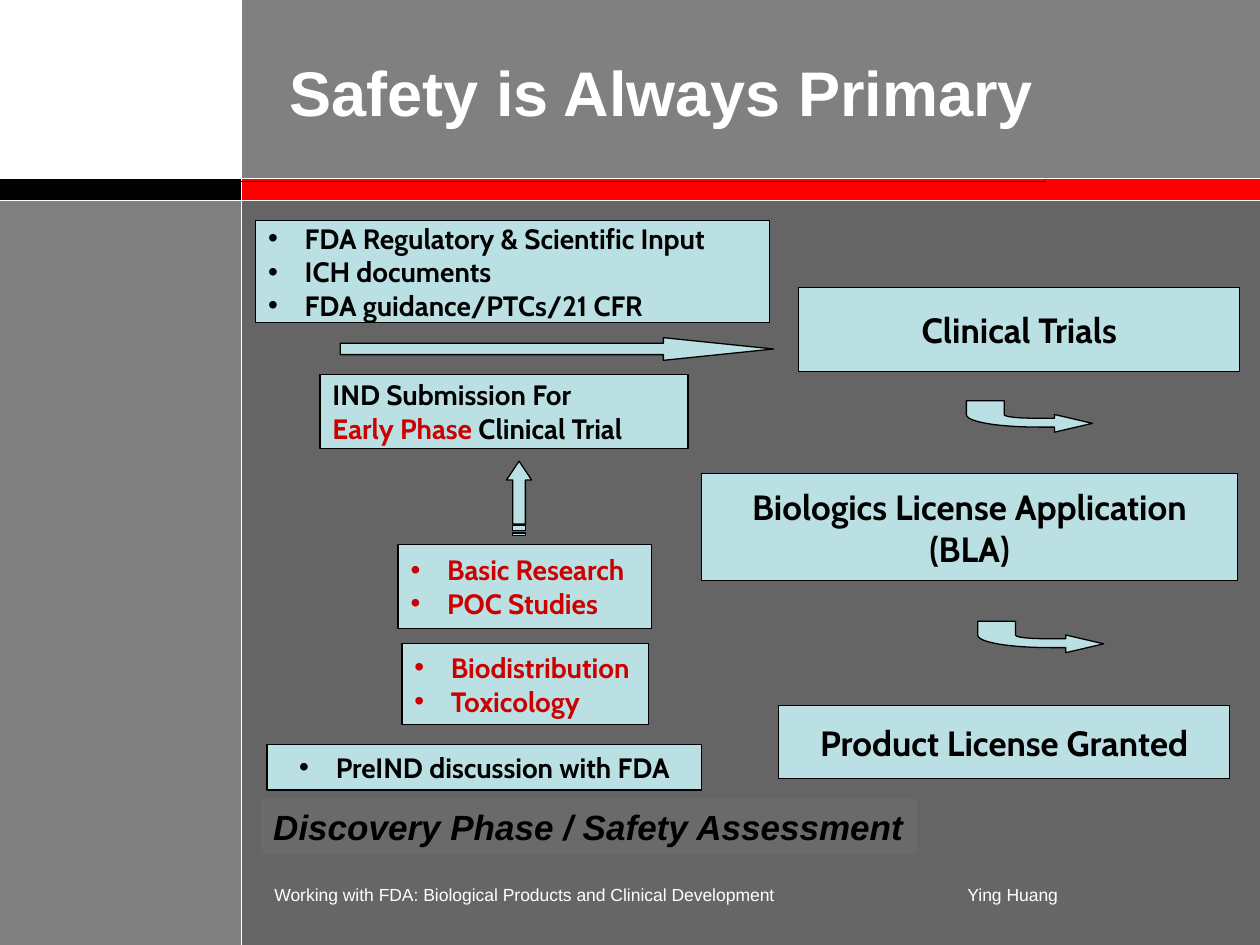
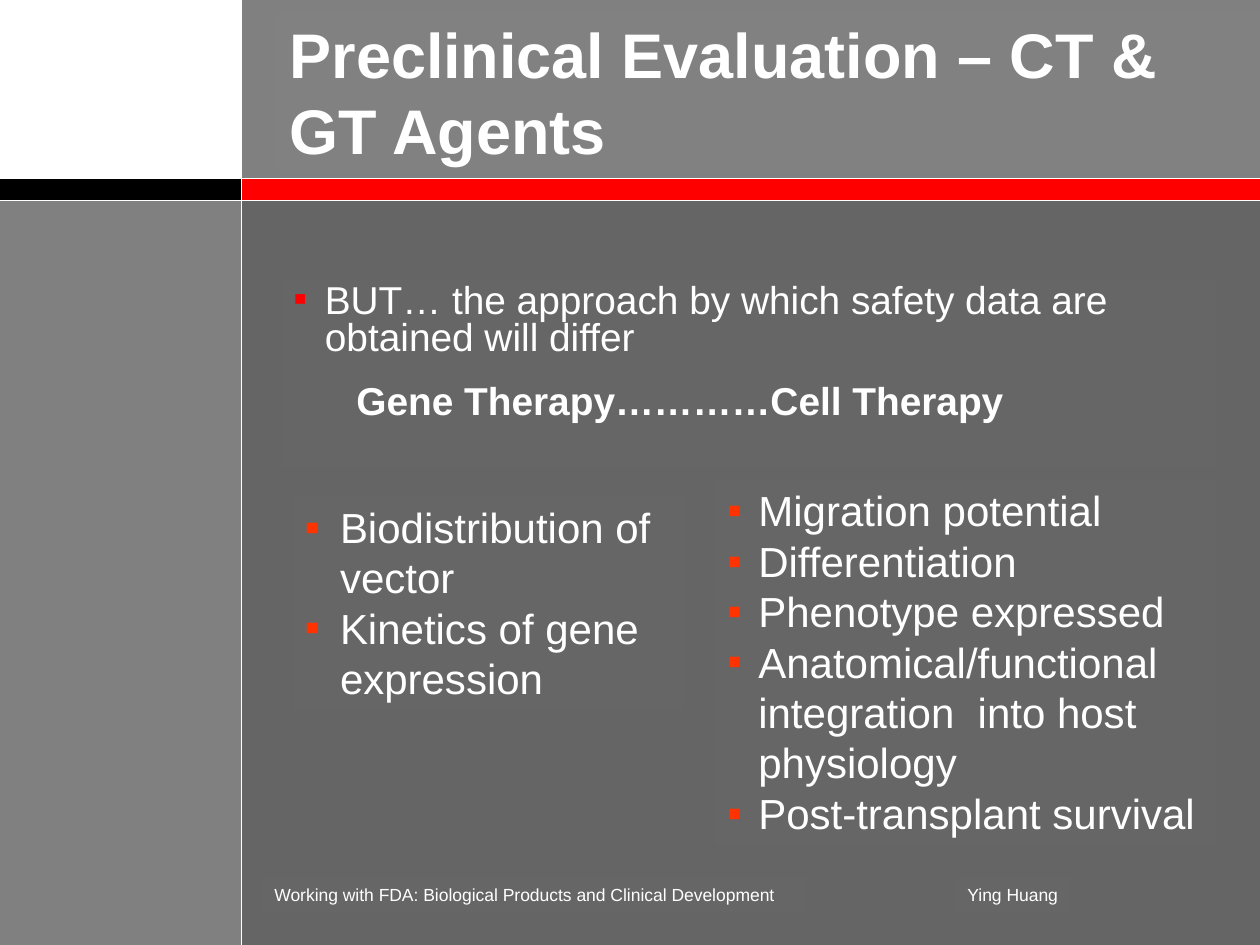
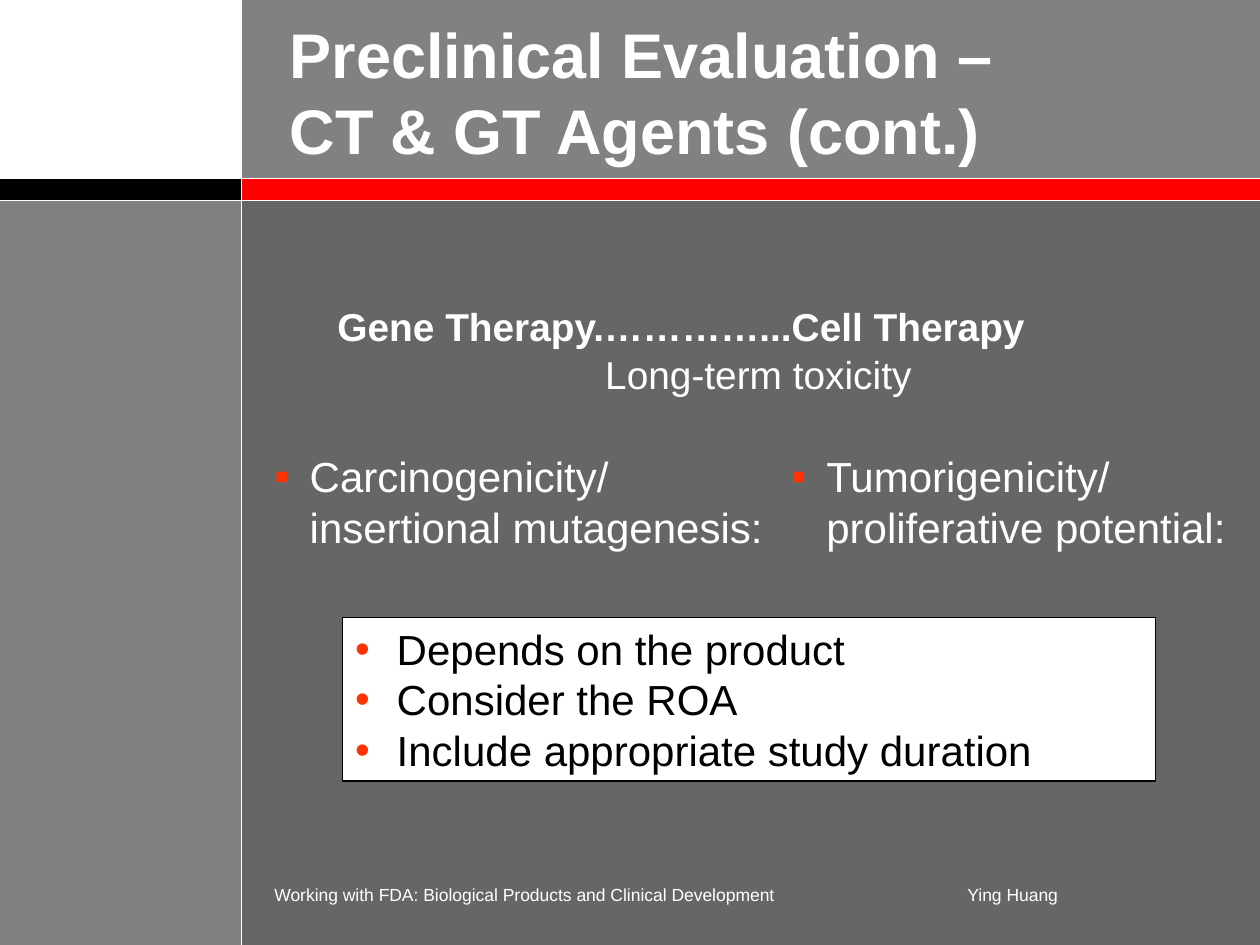
from dataclasses import dataclass

from lxml import etree
from pptx import Presentation
from pptx.dml.color import RGBColor
from pptx.enum import shapes, text
from pptx.oxml.ns import qn
from pptx.util import Inches, Pt


@dataclass(frozen=True)
class Theme:
    white: str = "FFFFFF"
    black: str = "000000"
    band: str = "808080"
    title_fill: str = "818181"
    panel: str = "656565"
    body_fill: str = "666666"
    phase_fill: str = "6A6A6A"
    red: str = "FF0000"
    bullet: str = "FF3300"
    accent: str = "CC0000"
    step: str = "BBE0E3"
    sans: str = "Arial"
    step_font: str = "Cabin"
    title_size: float = 36
    list_size: float = 24
    body_size: float = 22.2
    stage_size: float = 20
    step_size: float = 16
    footer_size: float = 10
    outline: float = 0.75
    rule: float = 0.5


T = Theme()
LEFT, CENTER = text.PP_ALIGN.LEFT, text.PP_ALIGN.CENTER
TOP, MIDDLE = text.MSO_ANCHOR.TOP, text.MSO_ANCHOR.MIDDLE
SIDEBAR = 1.92
STEP_INDENT = 0.29
LIST_INDENT = 0.28


# ---- Shared drawing helpers ----

def paint(shape, fill, line=None, width=T.outline):
    shape.shadow.inherit = False
    shape.fill.solid()
    shape.fill.fore_color.rgb = RGBColor.from_string(fill)
    if line:
        shape.line.color.rgb = RGBColor.from_string(line)
        shape.line.width = Pt(width)
    else:
        shape.line.fill.background()


def block(slide, box, fill, line=None, width=T.outline,
          kind=shapes.MSO_SHAPE.RECTANGLE):
    shape = slide.shapes.add_shape(kind, *map(Inches, box))
    paint(shape, fill, line, width)
    return shape


def rule(slide, start, end, color, width):
    line = slide.shapes.add_connector(
        shapes.MSO_CONNECTOR.STRAIGHT, *map(Inches, (*start, *end)))
    line.line.color.rgb = RGBColor.from_string(color)
    line.line.width = Pt(width)
    etree.SubElement(line.element.spPr, qn("a:effectLst"))


def outline(slide, left, top, contours):
    """Draw closed contours, given in inches from (left, top)."""
    placed = [[(Inches(left + x), Inches(top + y)) for x, y in contour]
              for contour in contours]
    builder = slide.shapes.build_freeform(*placed[0][0])
    for index, contour in enumerate(placed):
        if index:
            builder.move_to(*contour[0])
        builder.add_line_segments(contour[1:], close=True)
    paint(builder.convert_to_shape(), T.step, T.black)


def curve(p0, p1, p2, p3, steps=12):
    """Points along a cubic curve, without its start."""
    return [tuple((1 - t) ** 3 * a + 3 * (1 - t) ** 2 * t * b
                  + 3 * (1 - t) * t ** 2 * c + t ** 3 * d
                  for a, b, c, d in zip(p0, p1, p2, p3))
            for t in (i / steps for i in range(1, steps + 1))]


def set_indent(paragraph, indent, bullet=None, color=None):
    props = paragraph._p.get_or_add_pPr()
    props.set("marL", str(Inches(indent)))
    props.set("indent", str(-Inches(indent) if bullet else 0))
    if bullet:
        tint = etree.SubElement(props, qn("a:buClr"))
        etree.SubElement(tint, qn("a:srgbClr"), val=color)
        etree.SubElement(props, qn("a:buFont"), typeface=T.sans)
        etree.SubElement(props, qn("a:buChar"), char=bullet)


def write(slide, box, lines, size, color=T.white, font=T.sans, bold=False,
          italic=False, fill=T.body_fill, line=None, align=LEFT, anchor=TOP,
          bullet=None, bullet_color=T.bullet, indent=0):
    area = slide.shapes.add_textbox(*map(Inches, box))
    area.fill.solid()
    area.fill.fore_color.rgb = RGBColor.from_string(fill)
    if line:
        area.line.color.rgb = RGBColor.from_string(line)
        area.line.width = Pt(T.outline)
    frame = area.text_frame
    frame.word_wrap = True
    frame.vertical_anchor = anchor
    frame.text = "\n".join(lines)
    for paragraph in frame.paragraphs:
        if indent:
            set_indent(paragraph, indent, bullet, bullet_color)
        paragraph.alignment = align
        for run in paragraph.runs:
            style(run, size, color, font, bold, italic)
    return frame


def style(run, size, color, font, bold=False, italic=False):
    run.font.size = Pt(size)
    run.font.name = font
    run.font.bold = bold
    run.font.italic = italic
    run.font.color.rgb = RGBColor.from_string(color)


# ---- Frame shared by all slides ----

def new_slide(deck, title, title_fill=T.title_fill):
    slide = deck.slides.add_slide(deck.slide_layouts[6])
    # Panels and bands
    block(slide, (0, 1.58, SIDEBAR, 5.92), T.band)
    block(slide, (SIDEBAR, 1.58, 8.08, 5.92), T.panel)
    block(slide, (SIDEBAR, 0, 8.08, 1.58), T.band)
    block(slide, (SIDEBAR, 1.42, 8.17, 0.17), T.red, T.white, T.rule)
    block(slide, (-0.08, 1.42, 2, 0.17), T.black, T.white, T.rule)
    rule(slide, (SIDEBAR, -0.08), (SIDEBAR, 7.5), T.white, T.rule)
    # Footer
    for left, width, words in (
            (2.08, 4.33, "Working with FDA: Biological Products and Clinical Development"),
            (7.58, 0.92, "Ying Huang")):
        write(slide, (left, 6.97, width, 0.27), [words], T.footer_size)
    # Title
    write(slide, (2.2, 0.1, 7.8, 1.25), [title], T.title_size, bold=True,
          fill=title_fill, anchor=MIDDLE)
    return slide


# ---- Slide 1: development path ----

def step(slide, box, lines, color=T.black, bulleted=True, align=LEFT):
    return write(slide, box, lines, T.step_size, color, T.step_font, bold=True,
                 fill=T.step, line=T.black, align=align, anchor=MIDDLE,
                 bullet="•" if bulleted else None, bullet_color=color,
                 indent=STEP_INDENT if bulleted else 0)


def up_arrow(slide, left, top):
    head_and_shaft = [(0.05, 0.5), (0.05, 0.15), (0, 0.15), (0.1, 0),
                      (0.2, 0.15), (0.15, 0.15), (0.15, 0.5)]
    stripes = [[(0.05, low), (0.05, high), (0.15, high), (0.15, low)]
               for low, high in ((0.59, 0.57), (0.55, 0.51))]
    outline(slide, left, top, [head_and_shaft, *stripes])


def bent_arrow(slide, left, top):
    outer = curve((0, 0.11), (0, 0.17), (0.26, 0.21), (0.58, 0.21))
    inner = curve((0.58, 0.14), (0.42, 0.14), (0.3, 0.13), (0.3, 0.11))
    head = [(0.7, 0.21), (0.7, 0.25), (1, 0.18), (0.7, 0.11), (0.7, 0.14),
            (0.58, 0.14)]
    outline(slide, left, top,
            [[(0, 0), (0, 0.11), *outer, *head, *inner, (0.3, 0)]])


def discovery_path(slide, left, top):
    """Steps from first research up to the IND submission."""
    step(slide, (left, top, 4.08, 0.81),
         ["FDA Regulatory & Scientific Input", "ICH documents",
          "FDA guidance/PTCs/21 CFR"])
    step(slide, (left + 1.13, top + 2.57, 2.01, 0.67),
         ["Basic Research", "POC Studies"], T.accent)
    step(slide, (left + 1.16, top + 3.36, 1.96, 0.64),
         ["Biodistribution", "Toxicology"], T.accent)
    up_arrow(slide, left + 1.99, top + 1.91)
    write(slide, (left + 0.04, top + 4.59, 5.21, 0.44),
          ["Discovery Phase / Safety Assessment"], T.stage_size, T.black,
          bold=True, italic=True, fill=T.phase_fill)
    step(slide, (left + 0.09, top + 4.16, 3.45, 0.36),
         ["PreIND discussion with FDA"], align=CENTER)
    to_trials = block(slide, (left + 0.67, top + 0.93, 3.44, 0.18), T.step,
                      T.black, kind=shapes.MSO_SHAPE.RIGHT_ARROW)
    to_trials.adjustments[0] = 0.5
    to_trials.adjustments[1] = 4.86
    submission = step(slide, (left + 0.51, top + 1.22, 2.92, 0.59),
                      ["IND Submission For", "Early Phase"], bulleted=False)
    early_phase = submission.paragraphs[1]
    early_phase.runs[0].font.color.rgb = RGBColor.from_string(T.accent)
    trial = early_phase.add_run()
    trial.text = " Clinical Trial"
    style(trial, T.step_size, T.black, T.step_font, bold=True)


def licence_path(slide, left, top):
    """Stages from clinical trials to the licence."""
    for x, y, width, height, lines in (
            (0.77, 0, 3.5, 0.67, ["Clinical Trials"]),
            (0, 1.48, 4.25, 0.85, ["Biologics License Application", "(BLA)"]),
            (0.61, 3.32, 3.58, 0.58, ["Product License Granted"])):
        write(slide, (left + x, top + y, width, height), lines, T.stage_size,
              T.black, T.step_font, bold=True, fill=T.step, line=T.black,
              align=CENTER, anchor=MIDDLE)
    bent_arrow(slide, left + 2.1, top + 0.9)
    bent_arrow(slide, left + 2.19, top + 2.65)


def safety_slide(deck):
    slide = new_slide(deck, "Safety is Always Primary", T.band)
    licence_path(slide, 5.57, 2.28)
    discovery_path(slide, 2.03, 1.75)
    rule(slide, (1.66, 1.44), (8.3, 1.44), T.black, T.outline)


# ---- Slides 2 and 3: evaluation of agents ----

def square_list(slide, box, lines, indent=LIST_INDENT):
    write(slide, box, lines, T.list_size, bullet="▪", indent=indent)


def approach_intro(slide, box):
    frame = write(slide, box,
                  ["BUT… the approach by which safety data are obtained will differ",
                   "Gene Therapy…………Cell Therapy"],
                  T.body_size, bullet="▪", bullet_color=T.red, indent=0.25)
    approach, therapies = frame.paragraphs
    approach.line_spacing = therapies.line_spacing = 0.8
    approach.space_after = Pt(9)
    therapies.space_before = Pt(6)
    props = therapies._p.get_or_add_pPr()
    for tag in ("a:buClr", "a:buFont", "a:buChar"):
        props.remove(props.find(qn(tag)))
    set_indent(therapies, 0.5)
    therapies.runs[0].font.bold = True


def toxicity_intro(slide, box):
    frame = write(slide, box,
                  ["Gene Therapy.…………...Cell Therapy", "Long-term toxicity"],
                  T.body_size, indent=0.5)
    frame.margin_top = Inches(0.51)
    therapies, toxicity = frame.paragraphs
    therapies.line_spacing = toxicity.line_spacing = 0.7
    therapies.runs[0].font.bold = True
    toxicity.space_before = Pt(9)
    toxicity.alignment = CENTER


def approach_slide(deck):
    slide = new_slide(deck, "Preclinical Evaluation – CT & GT Agents")
    approach_intro(slide, (2.23, 2.21, 7.42, 1.5))
    square_list(slide, (2.32, 3.93, 3.11, 1.7),
                ["Biodistribution of vector", "Kinetics of gene expression"])
    square_list(slide, (5.67, 3.8, 3.98, 2.9),
                ["Migration potential", "Differentiation",
                 "Phenotype expressed",
                 "Anatomical/functional integration  into host physiology",
                 "Post-transplant survival"], indent=0.25)


def toxicity_columns(slide, left, top):
    """Two risks side by side; the second starts where the first ends."""
    gene_width, cell_width, height = 4.1, 3.72, 0.9
    square_list(slide, (left, top, gene_width, height),
                ["Carcinogenicity/ insertional mutagenesis:"])
    square_list(slide, (left + gene_width, top, cell_width, height),
                ["Tumorigenicity/ proliferative potential:"])


def toxicity_slide(deck):
    slide = new_slide(deck, "Preclinical Evaluation –\vCT & GT Agents (cont.)")
    toxicity_intro(slide, (2.08, 1.99, 7.38, 1.2))
    toxicity_columns(slide, 2.08, 3.53)
    # Study design notes
    write(slide, (2.72, 4.9, 6.45, 1.3),
          ["Depends on the product", "Consider the ROA",
           "Include appropriate study duration"],
          T.list_size, T.black, fill=T.white, line=T.black, bullet="•",
          indent=0.33)


def main():
    deck = Presentation()
    deck.slide_width, deck.slide_height = Inches(10), Inches(7.5)
    safety_slide(deck)
    approach_slide(deck)
    toxicity_slide(deck)
    deck.save("out.pptx")


if __name__ == "__main__":
    main()
